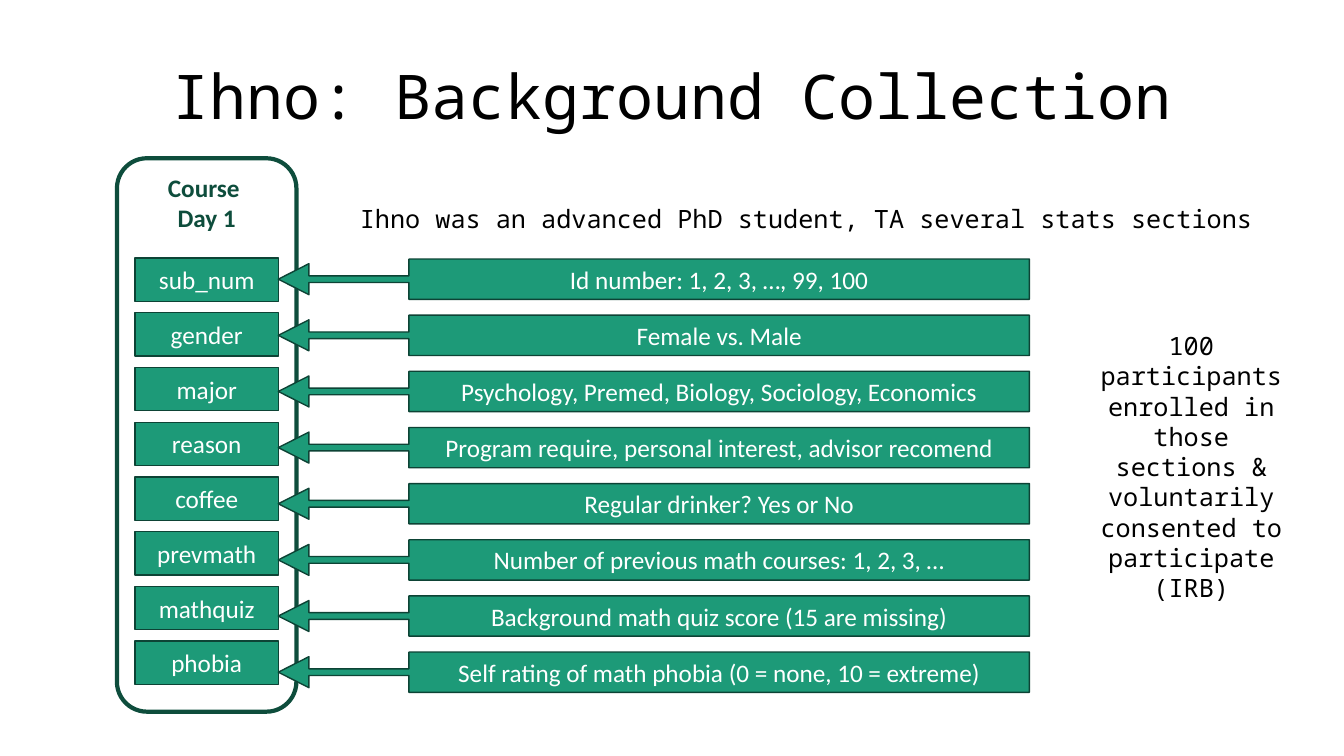
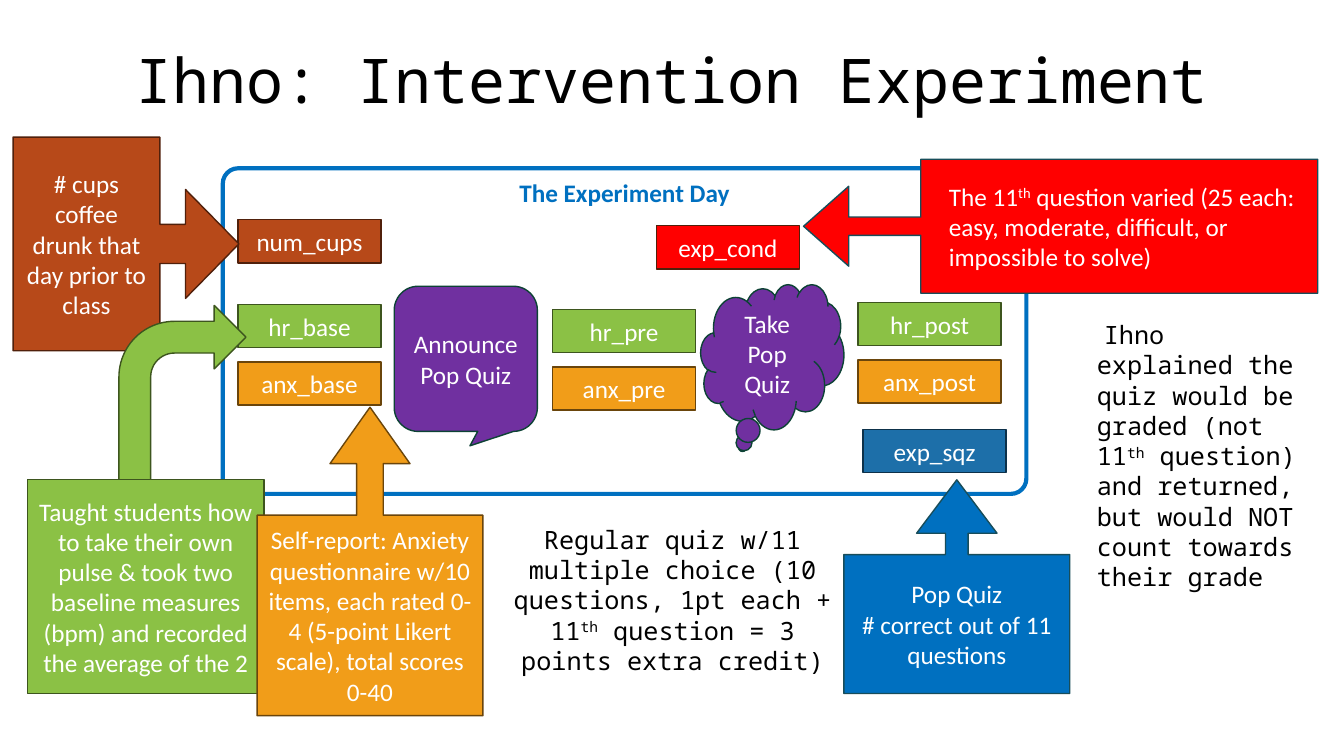
import pptx
import pptx.util
import pptx.dml.color
import pptx.enum.shapes
import pptx.enum.text

Inches = pptx.util.Inches
Pt = pptx.util.Pt
RGB = pptx.dml.color.RGBColor
SHAPE = pptx.enum.shapes.MSO_SHAPE
ALIGN = pptx.enum.text.PP_ALIGN
ANCHOR = pptx.enum.text.MSO_ANCHOR
FIT = pptx.enum.text.MSO_AUTO_SIZE

WHITE = RGB(0xFF, 0xFF, 0xFF)
BLACK = RGB(0, 0, 0)
TEAL = RGB(0x1D, 0x9A, 0x78)
PINE = RGB(0x0E, 0x4D, 0x3C)
MOSS = RGB(0x0D, 0x43, 0x35)
BLUE = RGB(0x00, 0x70, 0xC0)
STEEL = RGB(0x1D, 0x6F, 0xA9)
NAVY = RGB(0x0D, 0x31, 0x4A)
SLATE = RGB(0x18, 0x4D, 0x5A)
GREEN = RGB(0x8B, 0xC1, 0x45)
OLIVE = RGB(0x3D, 0x55, 0x1E)
GOLD = RGB(0xF1, 0x9D, 0x19)
BROWN = RGB(0x6A, 0x45, 0x0B)
RUST = RGB(0xB7, 0x49, 0x19)
DARK = RGB(0x50, 0x20, 0x0B)
RED = RGB(0xFF, 0, 0)
PLUM = RGB(0x70, 0x30, 0xA0)

SANS = "Calibri"
MONO = "Noto Sans Mono"
TAG_W, TAG_H = 1.42, 0.43

FIELDS = [
    ("sub_num", "Id number: 1, 2, 3, …, 99, 100"),
    ("gender", "Female vs. Male"),
    ("major", "Psychology, Premed, Biology, Sociology, Economics"),
    ("reason", "Program require, personal interest, advisor recomend"),
    ("coffee", "Regular drinker? Yes or No"),
    ("prevmath", "Number of previous math courses: 1, 2, 3, …"),
    ("mathquiz", "Background math quiz score (15 are missing)"),
    ("phobia", "Self rating of math phobia (0 = none, 10 = extreme)"),
]


def write(frame, text, size=18, font=SANS, color=WHITE, bold=False,
          align=ALIGN.CENTER, anchor=ANCHOR.MIDDLE, space=None, indent=None):
    """Fill a frame; newlines split paragraphs and ^ marks wrap superscripts."""
    frame.word_wrap = True
    frame.vertical_anchor = anchor
    for num, line in enumerate(text.split("\n")):
        para = frame.add_paragraph() if num else frame.paragraphs[0]
        para.alignment = align
        if space:
            para.line_spacing = space
        if indent:
            props = para._p.get_or_add_pPr()
            props.set("marL", str(Inches(indent[0])))
            props.set("indent", str(Inches(indent[1])))
        for part, words in enumerate(line.split("^")):
            run = para.add_run()
            run.text = words
            run.font.size = Pt(size)
            run.font.name = font
            run.font.bold = bold
            run.font.color.rgb = color
            if part % 2:
                run._r.get_or_add_rPr().set("baseline", "30000")


def block(slide, kind, box, fill, line, text="", width=1, adjust=(), **style):
    """Draw a preset shape with optional text; no fill when fill is None."""
    shape = slide.shapes.add_shape(kind, *map(Inches, box))
    shape.shadow.inherit = False
    if fill is None:
        shape.fill.background()
    else:
        shape.fill.solid()
        shape.fill.fore_color.rgb = fill
    shape.line.color.rgb = line
    shape.line.width = Pt(width)
    for num, value in enumerate(adjust):
        shape.adjustments[num] = value
    if text:
        write(shape.text_frame, text, **style)


def tag(slide, left, top, text, fill, line):
    """Draw one variable name."""
    block(slide, SHAPE.RECTANGLE, (left, top, TAG_W, TAG_H), fill, line, text)


def note(slide, box, text, **style):
    """Place a plain remark."""
    frame = slide.shapes.add_textbox(*map(Inches, box)).text_frame
    write(frame, text, font=MONO, color=BLACK, anchor=ANCHOR.TOP, **style)


def panel(slide, box, text, color, adjust=()):
    """Draw an outlined area with a bold heading."""
    block(slide, SHAPE.ROUNDED_RECTANGLE, box, None, color, text, width=3,
          adjust=adjust, color=color, bold=True, anchor=ANCHOR.TOP)


def start(deck, text, height):
    """Add a slide with its title."""
    slide = deck.slides.add_slide(deck.slide_layouts[5])
    title = slide.shapes.title
    title.left, title.top = Inches(0.92), Inches(0.4)
    title.width, title.height = Inches(11.5), Inches(height)
    title.text_frame.auto_size = FIT.NONE
    write(title.text_frame, text, size=44, font=MONO, color=BLACK, space=0.9)
    return slide


def survey(slide, box):
    """Draw the first-day panel and the meaning of each of its fields."""
    left, top, width, height = box
    panel(slide, box, "Course \nDay 1", PINE)
    inset = (width - TAG_W) / 2
    for num, (name, sense) in enumerate(FIELDS):
        tag(slide, left + inset, top + 0.99 + num * 0.543, name, TEAL, MOSS)
        place = (left + inset + TAG_W, top + 1 + num * 0.557, 7.45, 0.4)
        block(slide, SHAPE.LEFT_ARROW_CALLOUT, place, TEAL, MOSS, sense,
              adjust=(0.167, 0.384, 0.76, 0.826))


def pair(slide, left, top, stage):
    """Stack the heart rate and anxiety tags of one stage."""
    tag(slide, left, top, "hr_" + stage, GREEN, OLIVE)
    tag(slide, left, top + 0.57, "anx_" + stage, GOLD, BROWN)


def trial(slide, box):
    """Draw the experiment day with its measures and events."""
    left, top = box[:2]
    panel(slide, box, "The Experiment Day", BLUE, adjust=(0.047,))
    tag(slide, left + 6.35, top + 2.59, "exp_sqz", STEEL, NAVY)
    pair(slide, left + 3.27, top + 1.4, "pre")
    pair(slide, left + 6.3, top + 1.33, "post")
    pair(slide, left + 0.15, top + 1.35, "base")
    tag(slide, left + 0.15, top + 0.51, "num_cups", RUST, DARK)
    block(slide, SHAPE.ROUNDED_RECTANGULAR_CALLOUT,
          (left + 1.7, top + 1.17, TAG_W, 1.44), PLUM, MOSS,
          "Announce Pop Quiz", adjust=(0.029, 0.599, 0.167))
    block(slide, SHAPE.CLOUD_CALLOUT,
          (left + 4.74, top + 1.15, TAG_W, 1.44), PLUM, MOSS, "Take Pop Quiz")
    tag(slide, left + 4.3, top + 0.57, "exp_cond", RED, DARK)


def pulse(slide, box):
    """Draw the pulse explanation with its bent arrow."""
    left, top = box[:2]
    block(slide, SHAPE.BENT_ARROW, (left + 0.91, top, 1.26, 1.78),
          GREEN, OLIVE)
    block(slide, SHAPE.RECTANGLE, (left, top + 1.73, box[2], box[3] - 1.73),
          GREEN, OLIVE,
          "Taught students how to take their own pulse & took two baseline "
          "measures (bpm) and recorded the average of the 2")


def collect(deck):
    """Build the background slide."""
    slide = start(deck, "Ihno: Background Collection", 1.17)
    survey(slide, (1.16, 1.57, 1.78, 5.49))
    note(slide, (3.47, 1.97, 9.13, 1.01),
         "Ihno was an advanced PhD student, TA several stats sections",
         align=ALIGN.LEFT)
    note(slide, (10.74, 3.23, 2.15, 2.52),
         "100 participants enrolled in those sections & voluntarily "
         "consented to participate (IRB)")


def test(deck):
    """Build the experiment slide."""
    slide = start(deck, "Ihno: Intervention Experiment", 0.85)
    trial(slide, (2.21, 1.67, 7.97, 3.23))
    block(slide, SHAPE.UP_ARROW_CALLOUT, (8.37, 4.76, 2.24, 2.12), BLUE, SLATE,
          "Pop Quiz\n# correct out of 11 questions",
          adjust=(0.106, 0.188, 0.25, 0.65))
    block(slide, SHAPE.RIGHT_ARROW_CALLOUT, (0.13, 1.36, 2.24, 2.12),
          RUST, DARK, "# cups coffee drunk that day prior to class",
          adjust=(0.183, 0.255, 0.25, 0.65))
    pulse(slide, (0.27, 3.03, 2.35, 3.85))
    block(slide, SHAPE.UP_ARROW_CALLOUT, (2.55, 4.04, 2.24, 3.06), GOLD, BROWN,
          "Self-report: Anxiety questionnaire w/10 items, each rated 0-4 "
          "(5-point Likert scale), total scores 0-40",
          adjust=(0.118, 0.177, 0.25, 0.65))
    block(slide, SHAPE.LEFT_ARROW_CALLOUT, (7.97, 1.58, 5.1, 1.33), RED, SLATE,
          "The 11^th^ question varied (25 each: easy, moderate, difficult, "
          "or impossible to solve)", adjust=(0.137, 0.298, 0.337, 0.772),
          align=ALIGN.LEFT, indent=(0.18, 0))
    note(slide, (4.95, 5.15, 3.44, 1.62),
         "Regular quiz w/11 multiple choice (10 questions, 1pt each + "
         "11^th^ question = 3 points extra credit)")
    note(slide, (10.6, 3.12, 2.44, 2.52),
         "Ihno explained the quiz would be graded (not 11^th^ question) and "
         "returned, but would NOT count towards their grade",
         align=ALIGN.LEFT, indent=(0.18, 0.07))


def main():
    """Build and save the deck."""
    deck = pptx.Presentation()
    deck.slide_width, deck.slide_height = Inches(13.33), Inches(7.5)
    collect(deck)
    test(deck)
    deck.save("out.pptx")


if __name__ == "__main__":
    main()
